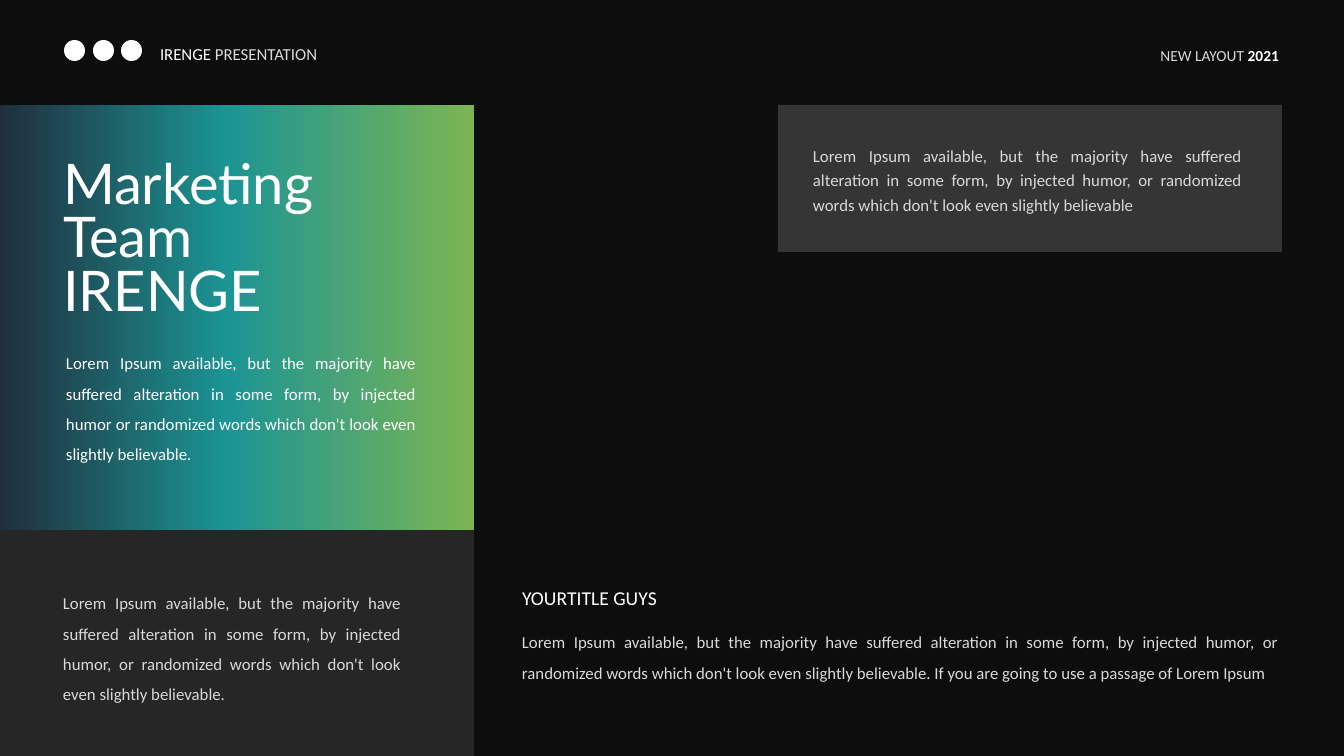
from copy import deepcopy

from lxml.etree import SubElement
from pptx import Presentation
from pptx.dml.color import RGBColor
from pptx.enum.shapes import MSO_SHAPE as Shape
from pptx.enum.text import MSO_AUTO_SIZE as AutoSize, PP_ALIGN as Align
from pptx.oxml.ns import qn
from pptx.util import Pt

PX = 12192000 / 1344

BLACK = RGBColor(0x0D, 0x0D, 0x0D)
CHARCOAL = RGBColor(0x26, 0x26, 0x26)
SILVER = RGBColor(0xD9, 0xD9, 0xD9)
WHITE = RGBColor(0xFF, 0xFF, 0xFF)
NAVY = RGBColor(0x20, 0x2F, 0x3D)
TEAL = RGBColor(0x1C, 0x94, 0x94)
GREEN = RGBColor(0x7C, 0xB5, 0x54)

BODY_INSETS = (10, 5, 16, 4)
TITLE_INSETS = (10, 5, 10, 5)

deck = Presentation()
deck.slide_width, deck.slide_height = round(1344 * PX), round(756 * PX)
page = deck.slides.add_slide(deck.slide_layouts[6])
page.background.fill.solid()
page.background.fill.fore_color.rgb = BLACK


def add_panel(left, top, width, height, color, kind=Shape.RECTANGLE):
    panel = page.shapes.add_shape(kind, *(round(n * PX) for n in (left, top, width, height)))
    panel.shadow.inherit = False
    panel.line.fill.background()
    panel.fill.solid()
    panel.fill.fore_color.rgb = color
    return panel


def add_text(paragraphs, left, top, width, height, size=12, font="Calibri",
             align=Align.JUSTIFY, spacing=1.5, insets=BODY_INSETS):
    """Add a text box; each paragraph is a list of (text, color, bold) spans."""
    box = page.shapes.add_textbox(*(round(n * PX) for n in (left, top, width, height)))
    frame = box.text_frame
    frame.word_wrap = True
    frame.auto_size = AutoSize.SHAPE_TO_FIT_TEXT
    (frame.margin_left, frame.margin_top,
     frame.margin_right, frame.margin_bottom) = (round(n * PX) for n in insets)
    for index, spans in enumerate(paragraphs):
        para = frame.add_paragraph() if index else frame.paragraphs[0]
        para.alignment = align
        para.line_spacing = spacing
        for text, color, bold in spans:
            span = para.add_run()
            span.text = text
            span.font.name = font
            span.font.size = Pt(size)
            span.font.bold = bold
            span.font.color.rgb = color


# Left column
add_panel(0, 530, 474, 226, CHARCOAL)
hero = add_panel(0, 105, 474, 425, TEAL)
hero.fill.gradient()
hero.fill.gradient_angle = 0
stop_list = hero.fill._xPr.find(".//" + qn("a:gsLst"))
stop_list.append(deepcopy(stop_list[0]))
for stop, (position, color) in zip(hero.fill.gradient_stops,
                                   ((0, NAVY), (0.48, TEAL), (1, GREEN))):
    stop.position = position
    stop.color.rgb = color

LOREM = "Lorem Ipsum available, but the majority have suffered alteration in some form, by injected "
HUMOR = LOREM + "humor, or randomized words which don't look even slightly believable"

add_text([[(LOREM + "humor or randomized words which don't look even slightly believable.",
            WHITE, False)]], 56, 338, 376, 131)
add_text([[("Marketing Team", WHITE, False)], [("IRENGE", WHITE, False)]],
         53, 156, 358, 173, size=40, font="Lato", align=Align.LEFT,
         spacing=0.8, insets=TITLE_INSETS)
add_text([[(HUMOR + ".", SILVER, False)]], 53, 578, 364, 128)

# Right side
add_text([[(HUMOR + ". If you are going to use a passage of Lorem Ipsum", SILVER, False)]],
         512, 617, 783, 67)
add_text([[("YOURTITLE GUYS", WHITE, False)]], 512, 581, 303, 34, size=14,
         align=Align.LEFT, spacing=1.0, insets=TITLE_INSETS)
quote = add_panel(778, 105, 504, 147, SILVER)
quote_color = quote.fill._xPr.find(qn("a:solidFill"))[0]
SubElement(quote_color, qn("a:alpha"), val="20000")
add_text([[(HUMOR, SILVER, False)]], 803, 137, 455, 83, spacing=1.2)

# Header
for left in (64, 93, 121):
    add_panel(left, 40, 21, 21, WHITE, Shape.OVAL)
add_text([[("IRENGE", WHITE, False), (" PRESENTATION", SILVER, False)]], 150, 29, 211, 39)
add_text([[("NEW LAYOUT ", SILVER, False), ("2021", WHITE, True)]],
         1119, 41, 176, 28, size=11, align=Align.RIGHT, spacing=1.0)

deck.save("out.pptx")
